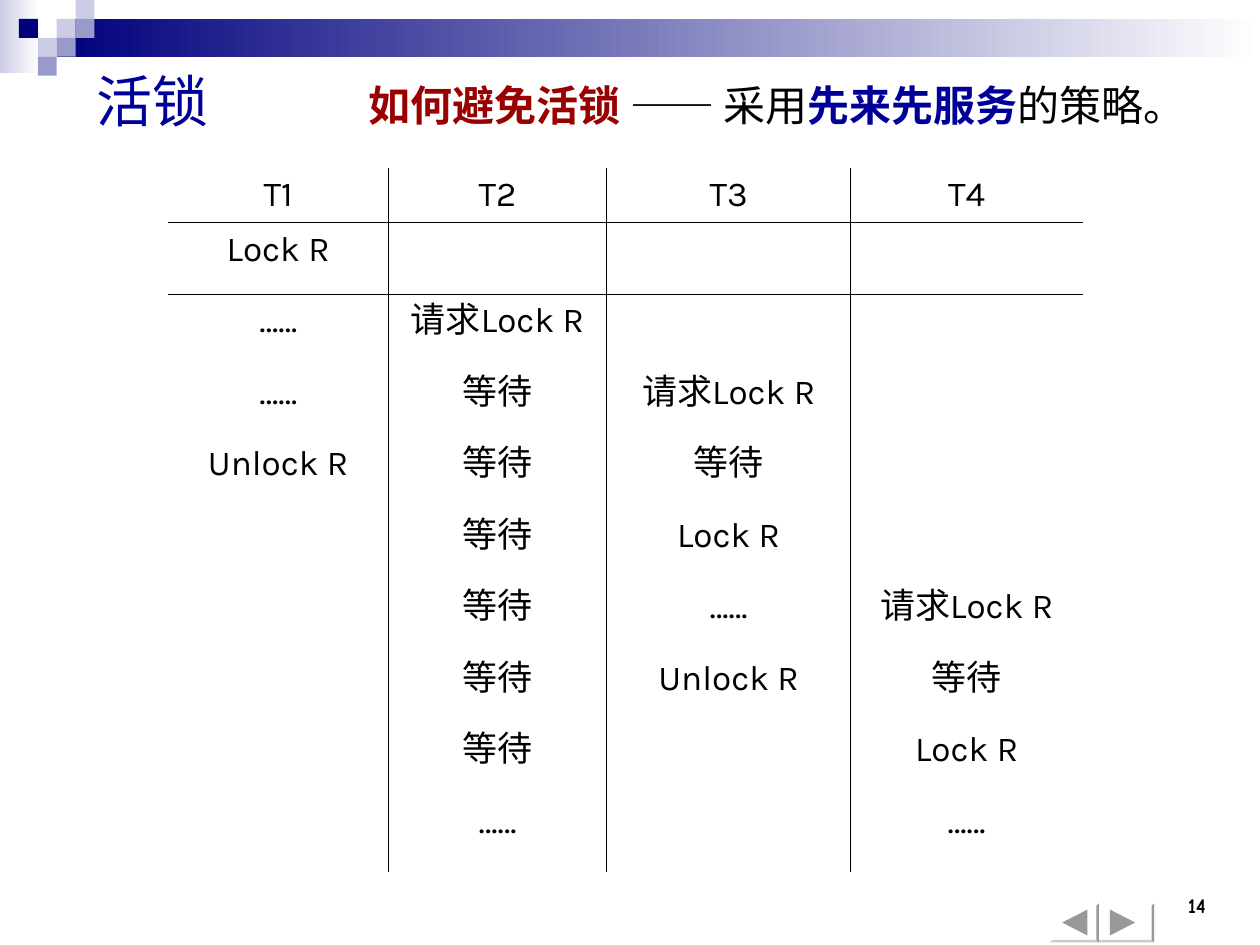
"""Build the slide on livelock and first come, first served locking."""
from lxml import etree
from pptx import Presentation
from pptx.dml.color import RGBColor
from pptx.enum import shapes as kinds, text as te
from pptx.oxml import ns
from pptx.util import Pt


def style(run, size, color, font="Karla", bold=False):
    run.font.size, run.font.bold, run.font.name = Pt(size), bold, font
    run.font.color.rgb = RGBColor.from_string(color)
    etree.SubElement(run.font._element, ns.qn("a:ea"), typeface=font)


def paint(shape, *colors):
    shape.shadow.inherit = False
    shape.line.fill.background()
    if len(colors) == 1:
        shape.fill.solid()
        shape.fill.fore_color.rgb = RGBColor.from_string(colors[0])
        return
    shape.fill.gradient()
    shape.fill.gradient_angle = 0
    for stop, color in zip(shape.fill.gradient_stops, colors):
        stop.color.rgb = RGBColor.from_string(color)


prs = Presentation()
prs.slide_width, prs.slide_height = Pt(720), Pt(540)
slide = prs.slides.add_slide(prs.slide_layouts[5])
items = slide.shapes
rect = kinds.MSO_SHAPE.RECTANGLE

side = items.add_shape(rect, 0, 0, Pt(22.3), Pt(41.8))
paint(side, "CCCCE6", "FFFFFF")
band = items.add_shape(rect, Pt(32.4), Pt(10.8), Pt(687.6), Pt(21.6))
paint(band, "00007D", "FFFFFF")
step = 10.8
tiles = [(3, 1, "CCCCE6"), (4, 0, "CCCCE6"), (4, 1, "9999CC"), (2, 2, "CCCCE6"),
         (1, 1, "00007D"), (3, 2, "9999CC"), (2, 3, "9999CC")]
for col, row, color in tiles:
    tile = items.add_shape(rect, Pt(col * step), Pt(row * step), Pt(step), Pt(step))
    paint(tile, color)

page = items.add_textbox(Pt(636), Pt(492), Pt(60), Pt(36)).text_frame
page.word_wrap = True
page.vertical_anchor = te.MSO_ANCHOR.BOTTOM
page.text = "14"
page.paragraphs[0].alignment = te.PP_ALIGN.RIGHT
style(page.paragraphs[0].runs[0], 12, "000000", "Comic Neue", True)

title = items.title
title.left, title.top, title.width, title.height = Pt(48), Pt(30), Pt(648), Pt(54)
title.text_frame.text = "活锁"
title.text_frame.vertical_anchor = te.MSO_ANCHOR.MIDDLE
title.text_frame.paragraphs[0].alignment = te.PP_ALIGN.LEFT
style(title.text_frame.paragraphs[0].runs[0], 32, "000099")

ask, wait, dots = "请求Lock R", "等待", "……"
rows = [
    ("T1", "T2", "T3", "T4"),
    ("Lock R", "", "", ""),
    (dots, ask, "", ""),
    (dots, wait, ask, ""),
    ("Unlock R", wait, wait, ""),
    ("", wait, "Lock R", ""),
    ("", wait, dots, ask),
    ("", wait, "Unlock R", wait),
    ("", wait, "", "Lock R"),
    ("", dots, "", dots),
]
table = items.add_table(10, 4, Pt(96), Pt(96), Pt(522.7), Pt(402)).table
table.first_row = table.horz_banding = False
table._tbl.tblPr.find(ns.qn("a:tableStyleId")).text = "{2D5ABB26-0587-4C30-8999-92F81FD0307C}"
for col, width in zip(table.columns, (126, 124.6, 139.6, 132.5)):
    col.width = Pt(width)
for row, height in zip(table.rows, [31] + [40.9] * 8 + [43.8]):
    row.height = Pt(height)
for r, row in enumerate(rows):
    for c, word in enumerate(row):
        cell = table.cell(r, c)
        edges = {"lnL": c > 0, "lnR": c < 3, "lnT": r == 1, "lnB": r == 0}
        props = cell._tc.get_or_add_tcPr()
        for name in (n for n, shown in edges.items() if shown):
            edge = etree.SubElement(props, ns.qn("a:" + name), w=str(Pt(0.45)))
            fill = etree.SubElement(edge, ns.qn("a:solidFill"))
            etree.SubElement(fill, ns.qn("a:srgbClr"), val="000000")
        cell.fill.background()
        cell.text_frame.text = word
        para = cell.text_frame.paragraphs[0]
        para.alignment = te.PP_ALIGN.CENTER
        para.font.size = Pt(20)
        for run in para.runs:
            style(run, 20, "000000")

lead = items.add_textbox(Pt(174), Pt(18.7), Pt(540), Pt(59)).text_frame
lead.word_wrap = True
lead.auto_size = te.MSO_AUTO_SIZE.SHAPE_TO_FIT_TEXT
lead.margin_left = lead.margin_right = 0
para = lead.paragraphs[0]
para.alignment, para.line_spacing, para.space_before = te.PP_ALIGN.CENTER, 1.8, Pt(6)
for word, color, bold in [("如何避免活锁 ", "990000", True), ("—— 采用", "000000", False),
                          ("先来先服务", "000099", True), ("的策略。", "000000", False)]:
    run = para.add_run()
    run.text = word
    style(run, 24, color, "Noto Sans CJK SC", bold)

for left, width, base, tip in [(623.5, 36, 634.3, 648.7), (599.8, 28.1, 621.4, 607)]:
    key = items.add_shape(kinds.MSO_SHAPE.BEVEL, Pt(left), Pt(516.2), Pt(width), Pt(22.3))
    key.adjustments[0] = 0.06
    paint(key, "FFFFFF")
    pen = items.build_freeform(Pt(base), Pt(519.8))
    pen.add_line_segments([(Pt(tip), Pt(527.2)), (Pt(base), Pt(534.6))])
    paint(pen.convert_to_shape(), "999999")

prs.save("out.pptx")
